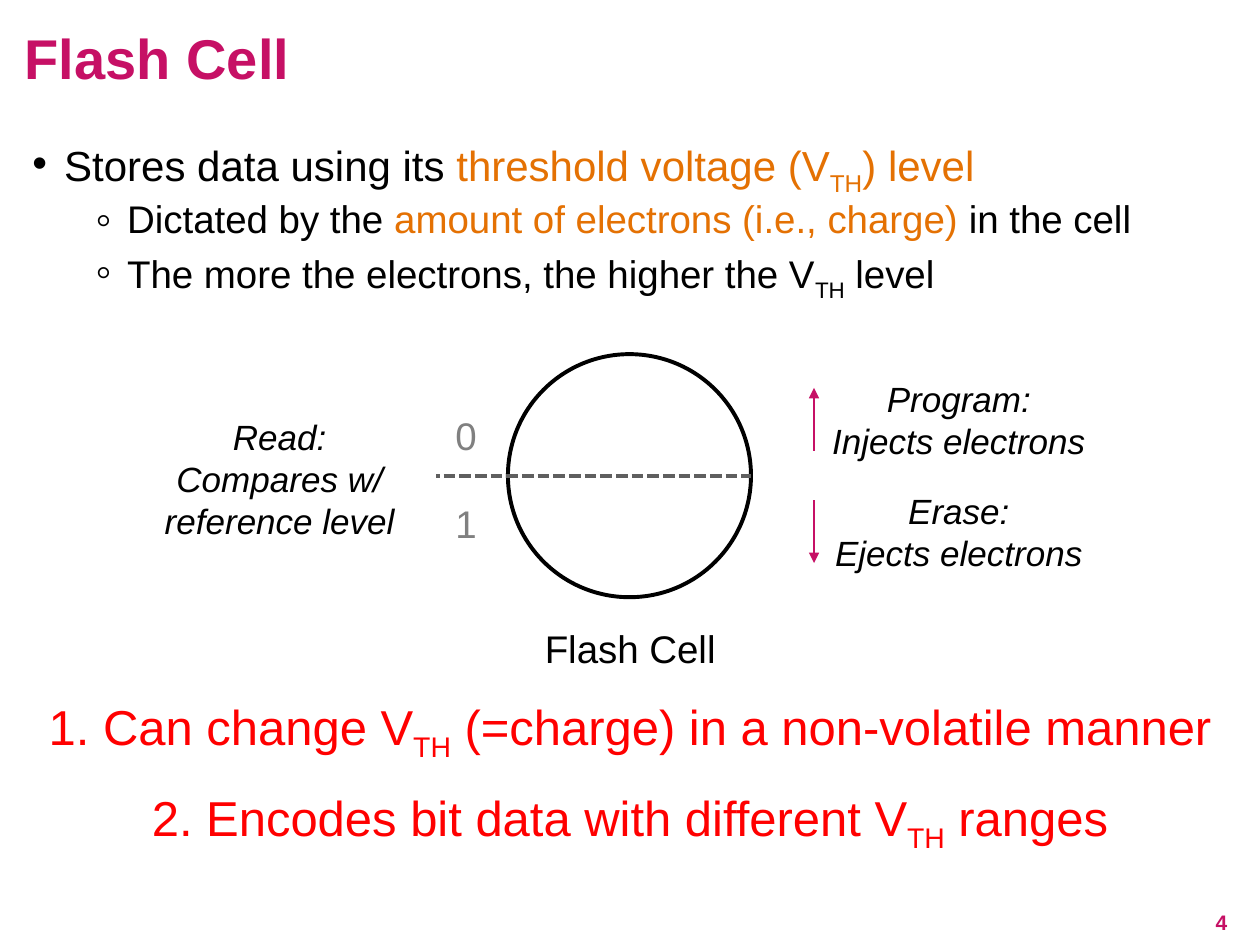
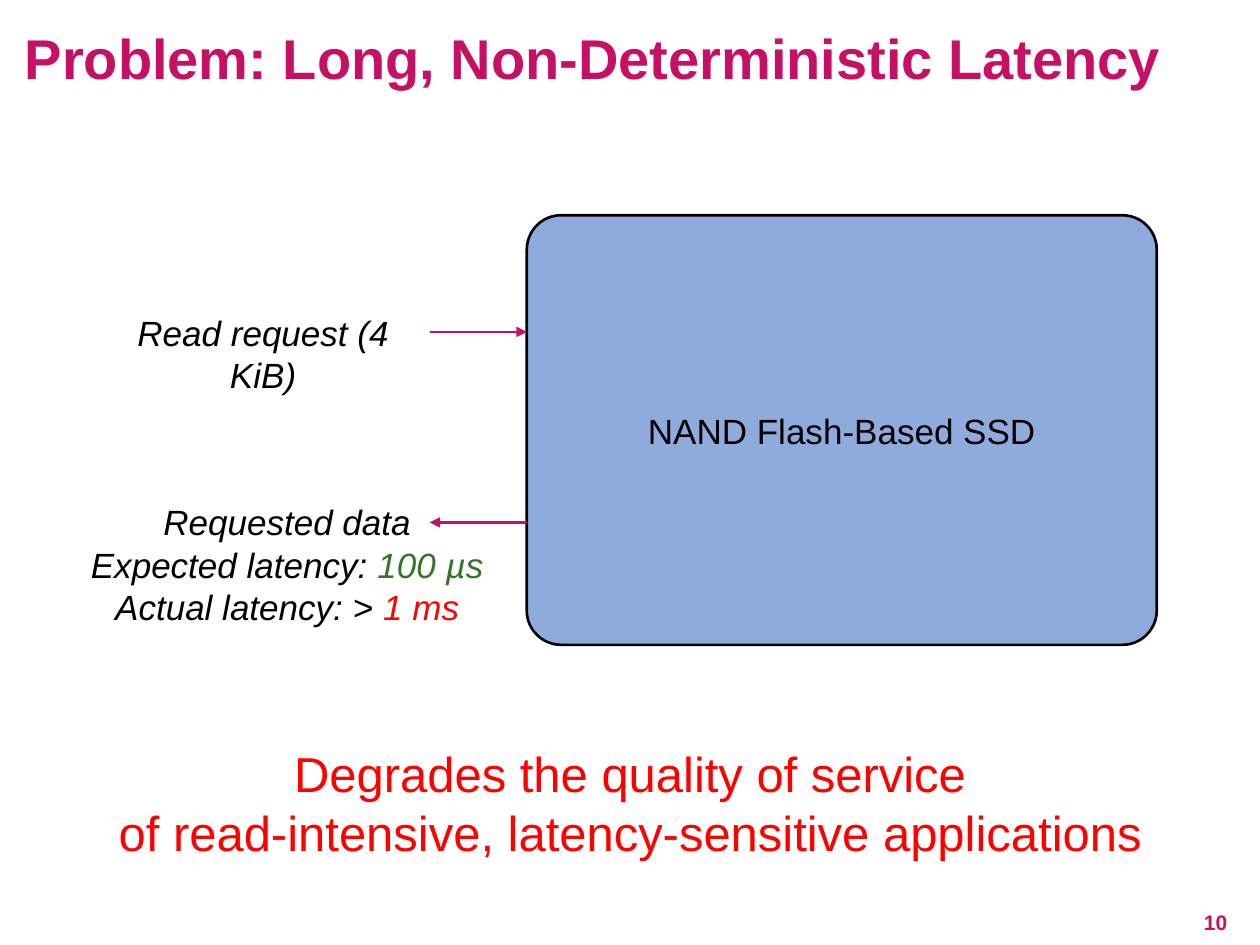
from lxml.etree import SubElement
from pptx import Presentation
from pptx.dml.color import RGBColor
from pptx.enum.dml import MSO_LINE
from pptx.enum.shapes import MSO_CONNECTOR, MSO_SHAPE
from pptx.enum.text import MSO_ANCHOR, MSO_AUTO_SIZE, PP_ALIGN
from pptx.oxml.ns import qn
from pptx.util import Cm, Pt

FONT = "Arial"
COLORS = {
    "accent": "C61065", "text": "000000", "orange": "E47103", "red": "FF0000",
    "green": "357429", "bit": "808080", "reference": "5F5F5F",
    "ssd": "8FAADC", "white": "FFFFFF",
}
WIDTH, HEIGHT = 25.4, 19.05
LABEL_LINE = 0.86

# A run is a string or (string, colour); "_TH" marks the subscript TH.
BULLETS = [
    (0, ["Stores data using its ", ("threshold voltage (V_TH) level", "orange")]),
    (1, ["Dictated by the ", ("amount of electrons (i.e., charge) ", "orange"),
         "in the cell"]),
    (1, ["The more the electrons, the higher the V_TH level"]),
]
BULLET_STYLES = [  # size, space before, left margin in cm, sign, sign size in %
    (24, 10, 0.64, "•", 100),
    (22, 5, 1.91, "◦", 120),
]
HANGING = 0.64

CELL_CENTER, CELL_DIAMETER = (12.69, 9.59), 4.9
REFERENCE_START = 8.31
OPERATIONS = [  # lines, label top, arrow start, arrow end
    (["Program:", "Injects electrons"], 7.62, 9.09, 7.82),
    (["Erase:", "Ejects electrons"], 9.86, 10.08, 11.35),
]
READ_LABEL = ["Read:", "Compares w/", "reference level"]
BITS = [("0", 8.31), ("1", 10.08)]
CELL_TAKEAWAYS = [
    ("1. Can change V_TH (=charge) in a non-volatile manner", 13.92),
    ("2. Encodes bit data with different V_TH ranges", 15.75),
]

SSD_BOX = (10.62, 4.34, 12.7, 8.66)
HOST_EDGE = 8.66
REQUEST_Y, REPLY_Y = 6.69, 10.53
LATENCIES = [
    ["Expected latency: ", ("100 µs", "green")],
    ["Actual latency: > ", ("1 ms", "red")],
]
LATENCY_TAKEAWAY = ["Degrades the quality of service",
                    "of read-intensive, latency-sensitive applications"]


def rgb(name):
    return RGBColor.from_string(COLORS[name])


def write_runs(paragraph, runs, size, color, bold=False, italic=False):
    """Add the runs of one line, splitting off each subscript."""
    for item in [runs] if isinstance(runs, str) else runs:
        text, run_color = (item, color) if isinstance(item, str) else item
        for index, part in enumerate(text.replace("_TH", "|TH|").split("|")):
            run = paragraph.add_run()
            run.text = part
            font = run.font
            font.name, font.size = FONT, Pt(size)
            font.bold, font.italic = bold, italic
            font.color.rgb = rgb(run_color)
            if index % 2:
                run._r.get_or_add_rPr().set("baseline", "-25000")


def write_lines(frame, lines, size, color="text", align=PP_ALIGN.CENTER, **style):
    for index, line in enumerate(lines):
        paragraph = frame.add_paragraph() if index else frame.paragraphs[0]
        paragraph.alignment = align
        write_runs(paragraph, line, size, color, **style)


def set_margins(frame, left=0, top=0, right=0, bottom=0):
    frame.margin_left, frame.margin_top = Cm(left), Cm(top)
    frame.margin_right, frame.margin_bottom = Cm(right), Cm(bottom)


def place(shape, left, top, width, height):
    shape.left, shape.top = Cm(left), Cm(top)
    shape.width, shape.height = Cm(width), Cm(height)


def add_text(slide, box, lines, size, anchor=MSO_ANCHOR.TOP, inset=False, **style):
    label = slide.shapes.add_textbox(*map(Cm, box))
    frame = label.text_frame
    frame.word_wrap = True
    frame.vertical_anchor = anchor
    if not inset:
        set_margins(frame)
    write_lines(frame, lines, size, **style)
    return label


def add_takeaway(slide, lines, top, height):
    add_text(slide, (-0.3, top, WIDTH + 0.6, height), lines, 28,
             inset=True, color="red")


def add_line(slide, start, end, color, width, arrow=False):
    line = slide.shapes.add_connector(MSO_CONNECTOR.STRAIGHT,
                                      *map(Cm, (*start, *end)))
    line.line.color.rgb = rgb(color)
    line.line.width = Pt(width)
    if arrow:
        SubElement(line.line._get_or_add_ln(), qn("a:tailEnd"), type="triangle")
    SubElement(line._element.spPr, qn("a:effectLst"))
    return line


def add_outlined(slide, kind, box, width):
    shape = slide.shapes.add_shape(kind, *map(Cm, box))
    shape.shadow.inherit = False
    shape.line.color.rgb = rgb("text")
    shape.line.width = Pt(width)
    return shape


def add_slide(deck, layout, title, number):
    """Add a slide with its title and page number."""
    slide = deck.slides.add_slide(deck.slide_layouts[layout])
    place(slide.shapes.title, 0, 0, WIDTH, 2.26)
    frame = slide.shapes.title.text_frame
    frame.auto_size = MSO_AUTO_SIZE.NONE
    frame.vertical_anchor = MSO_ANCHOR.MIDDLE
    set_margins(frame, 0.5, 0.2, 0.5)
    write_lines(frame, [title], 32, "accent", PP_ALIGN.LEFT, bold=True)
    frame.paragraphs[0].line_spacing = 0.9
    add_text(slide, (19.3, 18.08, 5.69, 1.02), [number], 12, MSO_ANCHOR.MIDDLE,
             inset=True, color="accent", align=PP_ALIGN.RIGHT, bold=True)
    return slide


def fill_bullets(body):
    place(body, 0.4, 2.7, 24.57, 14.95)
    frame = body.text_frame
    frame.auto_size = MSO_AUTO_SIZE.NONE
    for index, (level, runs) in enumerate(BULLETS):
        size, before, margin, sign, sign_size = BULLET_STYLES[level]
        paragraph = frame.add_paragraph() if index else frame.paragraphs[0]
        paragraph.level = level
        paragraph.line_spacing = 0.9
        paragraph.space_before = Pt(before if index else 0)
        properties = paragraph._p.get_or_add_pPr()
        properties.set("marL", str(Cm(margin)))
        properties.set("indent", str(-Cm(HANGING)))
        bullet_color = SubElement(properties, qn("a:buClr"))
        SubElement(bullet_color, qn("a:srgbClr"), val=COLORS["text"])
        SubElement(properties, qn("a:buSzPct"), val=str(sign_size * 1000))
        SubElement(properties, qn("a:buFont"), typeface=FONT)
        SubElement(properties, qn("a:buChar"), char=sign)
        write_runs(paragraph, runs, size, "text")


def build_flash_cell(deck):
    slide = add_slide(deck, 1, "Flash Cell", "4")
    fill_bullets(slide.placeholders[1])

    center_x, center_y = CELL_CENTER
    radius = CELL_DIAMETER / 2
    cell = add_outlined(slide, MSO_SHAPE.OVAL,
                        (center_x - radius, center_y - radius,
                         CELL_DIAMETER, CELL_DIAMETER), 2.25)
    cell.fill.background()
    add_text(slide, (10.57, 12.6, 4.27, 0.94), ["Flash Cell"], 22, MSO_ANCHOR.MIDDLE)

    for lines, top, start, end in OPERATIONS:
        add_text(slide, (16.46, top, 5.74, 1.7), lines, 20, italic=True)
        add_line(slide, (16.41, start), (16.41, end), "accent", 1.5, arrow=True)

    reference = add_line(slide, (REFERENCE_START, center_y),
                         (center_x + radius, center_y), "reference", 2.25)
    reference.line.dash_style = MSO_LINE.SQUARE_DOT
    read = add_text(slide, (2.49, 8.38, 6.3, 2.57), READ_LABEL, 20, italic=True)
    read.fill.solid()
    read.fill.fore_color.rgb = rgb("white")
    for bit, top in BITS:
        add_text(slide, (7.26, top, 4.27, 0.94), [bit], 22, MSO_ANCHOR.MIDDLE,
                 color="bit")
    for takeaway, top in CELL_TAKEAWAYS:
        add_takeaway(slide, [takeaway], top, 1.45)


def build_latency(deck):
    slide = add_slide(deck, 5, "Problem: Long, Non-Deterministic Latency", "10")
    ssd = add_outlined(slide, MSO_SHAPE.ROUNDED_RECTANGLE, SSD_BOX, 1.5)
    ssd.adjustments[0] = 0.08
    ssd.fill.solid()
    ssd.fill.fore_color.rgb = rgb("ssd")
    ssd.text_frame.vertical_anchor = MSO_ANCHOR.MIDDLE
    set_margins(ssd.text_frame)
    write_lines(ssd.text_frame, ["NAND Flash-Based SSD"], 20)

    ssd_edge = SSD_BOX[0]
    add_line(slide, (HOST_EDGE, REQUEST_Y), (ssd_edge, REQUEST_Y),
             "accent", 1.5, arrow=True)
    add_line(slide, (ssd_edge, REPLY_Y), (HOST_EDGE, REPLY_Y),
             "accent", 1.5, arrow=True)

    add_text(slide, (2.08, 6.27, 6.45, LABEL_LINE), ["Read request (4 KiB)"], 20,
             italic=True)
    reply_top = 10.08
    add_text(slide, (2.64, reply_top, 6.3, LABEL_LINE), ["Requested data"], 20,
             italic=True)
    for row, latency in enumerate(LATENCIES, start=1):
        add_text(slide, (0.71, reply_top + row * LABEL_LINE, 10.16, LABEL_LINE),
                 [latency], 20, MSO_ANCHOR.MIDDLE, italic=True)
    add_takeaway(slide, LATENCY_TAKEAWAY, 14.86, 2.64)


def main():
    deck = Presentation()
    deck.slide_width, deck.slide_height = Cm(WIDTH), Cm(HEIGHT)
    build_flash_cell(deck)
    build_latency(deck)
    deck.save("out.pptx")


if __name__ == "__main__":
    main()
